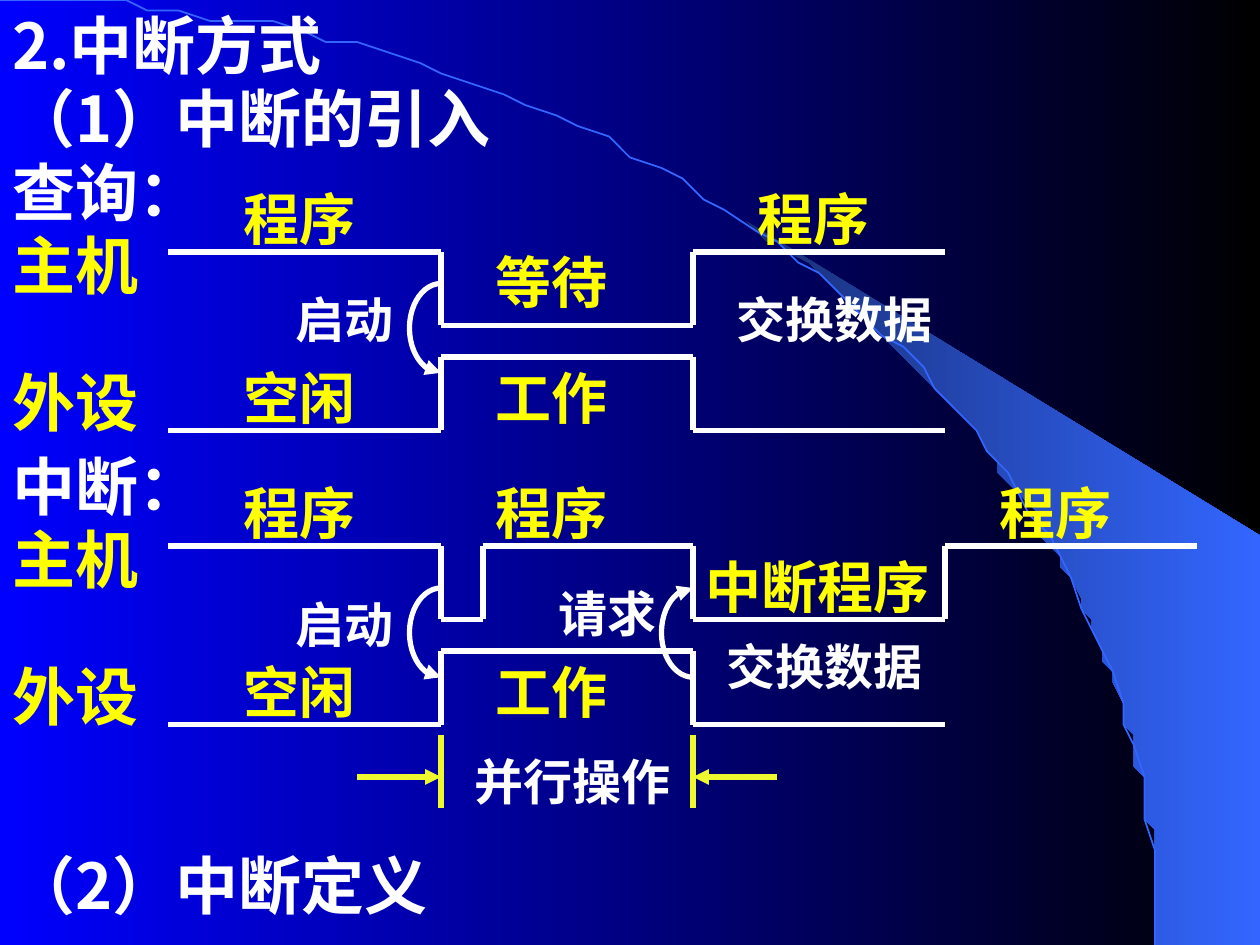
from itertools import pairwise
from math import asin, cos, pi, sin

from lxml import etree
from pptx import Presentation
from pptx.dml.color import RGBColor as Rgb
from pptx.enum.shapes import MSO_CONNECTOR as Connector, MSO_SHAPE as Preset
from pptx.enum.text import MSO_AUTO_SIZE as AutoSize
from pptx.oxml.ns import qn
from pptx.util import Inches, Pt

COLORS = {"white": "FFFFFF", "yellow": "FFFF00", "lime": "EEF82E",
          "blue": "0000FF", "black": "000000", "navy": "182F76", "sky": "3366FF"}
COLORS = {name: Rgb.from_string(code) for name, code in COLORS.items()}
CJK, LATIN = "Noto Sans CJK SC", "Times New Roman"

deck = Presentation()
deck.slide_width, deck.slide_height = Inches(10), Inches(7.5)
page = deck.slides.add_slide(deck.slide_layouts[6])
CELL = deck.slide_width // 120  # the grid has 120 columns and 90 rows


def style_line(shape, color, width, arrow=None):
    """Set colour and width, and an arrowhead at "headEnd" or "tailEnd"."""
    shape.line.color.rgb = COLORS[color]
    shape.line.width = Pt(width)
    if arrow:
        etree.SubElement(shape.line._get_or_add_ln(), qn(f"a:{arrow}"), type="triangle")


def add_line(start, end, color, arrow=None):
    ends = [round(value * CELL) for value in (*start, *end)]
    line = page.shapes.add_connector(Connector.STRAIGHT, *ends)
    style_line(line, color, 3, arrow)
    etree.SubElement(line._element.spPr, qn("a:effectLst"))


# Backdrop: gradient, lit wedge and the large quarter ellipse
backdrop = page.background.fill
RADIUS_X, RADIUS_Y, STEPS = 110.4, 89.9, 60
wedge_start = asin(0.64)
rim, edge = [
    [(RADIUS_X * sin(angle), RADIUS_Y * (1 - cos(angle)))
     for angle in (first + (pi / 2 - first) * step / STEPS for step in range(STEPS + 1))]
    for first in (0, wedge_start)]
wedge_points = edge + [(119.9, RADIUS_Y), (119.9, 50.8)]
outlines = []
for points, closed in ((wedge_points, True), (rim, False)):
    builder = page.shapes.build_freeform(*points[0], scale=CELL)
    builder.add_line_segments(points[1:], close=closed)
    outline = builder.convert_to_shape()
    outline.shadow.inherit = False
    outlines.append(outline)
wedge, curve = outlines
wedge.line.fill.background()
curve.fill.background()
style_line(curve, "sky", 1)
for fill, names in ((backdrop, ("blue", "black")), (wedge.fill, ("navy", "sky"))):
    fill.gradient()
    fill.gradient_angle = 0
    for stop, name, position in zip(fill.gradient_stops, names, (0, 1)):
        stop.color.rgb = COLORS[name]
        stop.position = position

# Timing waves as corner points (column, row)
START, BEGIN, DONE, FINISH = 16, 42, 66, 90
waves = [
    # Polling host
    [(START, 24), (BEGIN, 24), (BEGIN, 31), (DONE, 31), (DONE, 24), (FINISH, 24)],
    # Interrupt-driven host
    [(START, 52), (BEGIN, 52), (BEGIN, 59), (46, 59), (46, 52), (DONE, 52),
     (DONE, 59), (FINISH, 59), (FINISH, 52), (114, 52)],
]
# The device does the same in both cases
for high in (34, 62):
    low = high + 7
    waves.append([(START, low), (BEGIN, low), (BEGIN, high),
                  (DONE, high), (DONE, low), (FINISH, low)])
for wave in waves:
    for start, end in pairwise(wave):
        add_line(start, end, "white")

# Half-ellipse arrows between host and device, drawn from bottom to top
for column, row, arrow in ((BEGIN, 27, "headEnd"), (BEGIN, 56, "headEnd"),
                           (DONE, 56, "tailEnd")):
    signal = page.shapes.add_shape(Preset.ARC, (column - 3) * CELL, row * CELL,
                                   6 * CELL, round(8.5 * CELL))
    signal.adjustments[0], signal.adjustments[1] = 54, 162  # 90 and 270 degrees
    signal.fill.background()
    signal.shadow.inherit = False
    style_line(signal, "white", 3, arrow)

# Span of parallel operation
for column in (BEGIN, DONE):
    add_line((column, 70), (column, 77), "lime")
add_line((BEGIN - 8, 74), (BEGIN, 74), "lime", "tailEnd")
add_line((DONE, 74), (DONE + 8, 74), "lime", "headEnd")

# Labels by style: (size, font, colour, height) and (text, column, row, width)
labels = {
    (36, CJK, "white", 8.4): [
        ("2.中断方式", 0, 0, 90), ("（1）中断的引入", 0, 7, 56), ("查询：", 0, 14, 31),
        ("中断：", 0, 42, 31), ("（2）中断定义", 0, 80, 56)],
    (36, CJK, "yellow", 8.4): [
        ("主机", 0, 21, 18), ("外设", 0, 34, 18),
        ("主机", 0, 49, 18), ("外设", 0, 62, 18)],
    (32, LATIN, "yellow", 7.7): [
        ("程序", 22, 17, 15), ("等待", 46, 23, 15), ("程序", 71, 17, 22),
        ("空闲", 22, 34, 15), ("工作", 46, 34, 15),
        ("程序", 22, 45, 15), ("程序", 46, 45, 22), ("程序", 94, 45, 22),
        ("中断程序", 66, 52, 27), ("空闲", 22, 62, 15), ("工作", 46, 62, 15)],
    (28, LATIN, "white", 6.8): [
        ("启动", 27, 27, 13), ("交换数据", 69, 27, 24), ("启动", 27, 56, 13),
        ("请求", 52, 55, 13), ("交换数据", 68, 60, 24), ("并行操作", 44, 71, 27)],
}
for (size, font, color, height), items in labels.items():
    for text, column, row, width in items:
        box = page.shapes.add_textbox(column * CELL, row * CELL,
                                      width * CELL, round(height * CELL))
        box.text_frame.word_wrap = True
        box.text_frame.auto_size = AutoSize.SHAPE_TO_FIT_TEXT
        para = box.text_frame.paragraphs[0]
        para.text = text
        para.font.size, para.font.bold, para.font.name = Pt(size), True, font
        para.font.color.rgb = COLORS[color]
        etree.SubElement(para.font._element, qn("a:ea"), typeface=CJK)

deck.save("out.pptx")
